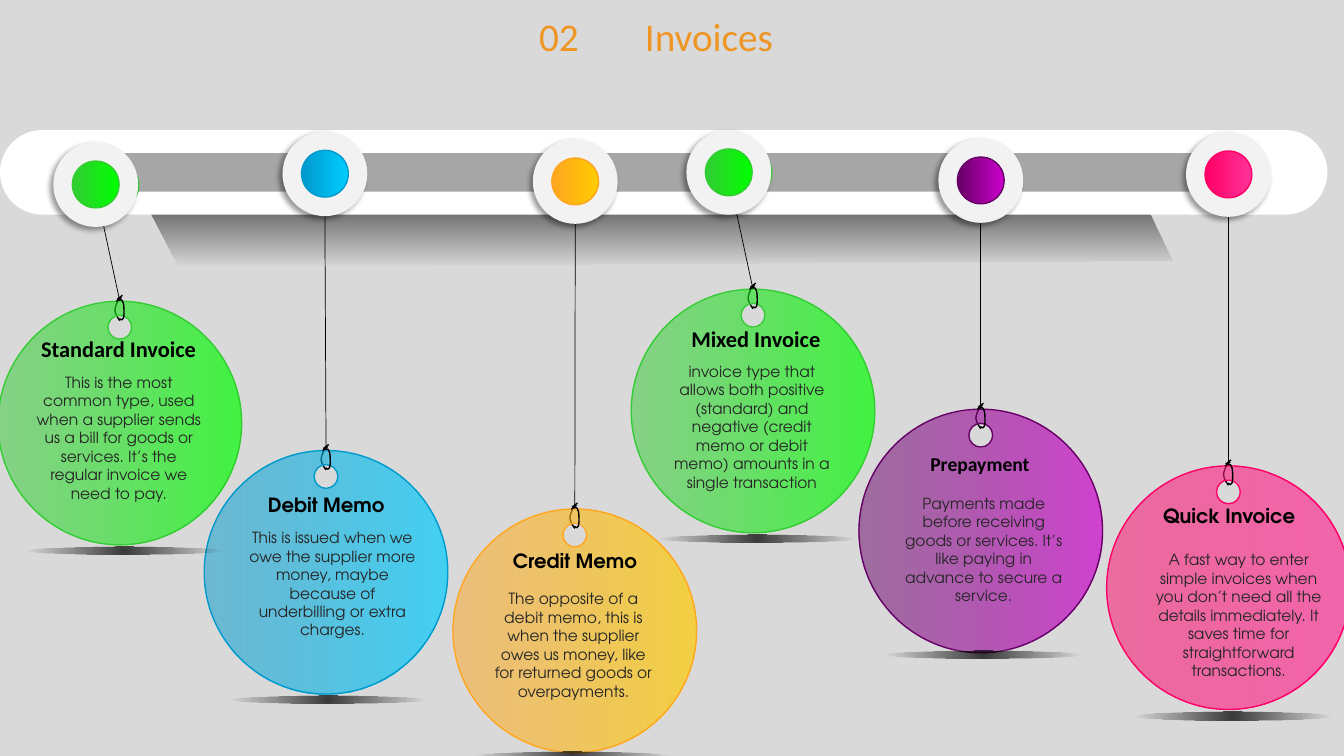
from dataclasses import dataclass

from lxml.etree import SubElement
from pptx import Presentation
from pptx.dml.color import RGBColor
from pptx.enum.shapes import MSO_CONNECTOR, MSO_SHAPE
from pptx.enum.text import MSO_AUTO_SIZE, PP_ALIGN
from pptx.oxml.ns import qn
from pptx.util import Pt

BLACK = RGBColor(0x00, 0x00, 0x00)
WHITE = RGBColor(0xFF, 0xFF, 0xFF)
BACKGROUND = RGBColor(0xD9, 0xD9, 0xD9)
RAIL = RGBColor(0xA6, 0xA6, 0xA6)
DISC = RGBColor(0xF2, 0xF2, 0xF2)
BODY = RGBColor(0x26, 0x26, 0x26)
HEADING = RGBColor(0xEE, 0x95, 0x24)
PURPLE = (RGBColor(0x66, 0x00, 0x66), RGBColor(0xCC, 0x00, 0xCC))
PINK = (RGBColor(0xFF, 0x00, 0x66), RGBColor(0xFF, 0x33, 0x99))
BLUE = (RGBColor(0x00, 0x99, 0xCC), RGBColor(0x00, 0xCC, 0xFF))
ORANGE = (RGBColor(0xFF, 0xA5, 0x1F), RGBColor(0xFF, 0xCC, 0x00))
GREEN = (RGBColor(0x33, 0xCC, 0x33), RGBColor(0x00, 0xFF, 0x00))
ADVENTOR, CALIBRI = "TeX Gyre Adventor", "Calibri"

TAG_RADIUS, HOLE_RADIUS, HOLE_DROP = 87, 8.5, 18.6
DISC_RADIUS, CORE_RADIUS = 30.3, 16.7

# String loop and knot, relative to the top of a tag
LOOP_LEFT = [(0, 13.9), (-1.5, 11.7), (-3.5, 9), (-3.5, 6.4), (-3.5, 3.8), (-2, 1.2), (-0.7, -1.4)]
LOOP_RIGHT = [(-0.5, -0.8), (1.6, -1.6), (2, -0.5), (2.6, 1.6),
              (3.1, 3.8), (3.3, 10.2), (2.6, 12.1), (2.2, 13.9), (0.8, 13.4), (-0.3, 12.4)]
KNOT = [((-2.5, 0.2), (1.2, -2.8)), ((-2, -1.3), (1.9, -4.3))]

# Control points of a unit circle made of four cubic curves
UNIT_CIRCLE = [(0, -1), (0.55, -1), (1, -0.55), (1, 0), (1, 0.55), (0.55, 1), (0, 1),
               (-0.55, 1), (-1, 0.55), (-1, 0), (-1, -0.55), (-0.55, -1), (0, -1)]

Point = tuple[float, float]


@dataclass
class Tag:
    title: str
    text: str
    colors: tuple[RGBColor, RGBColor]
    top: Point
    knob: Point
    shadow: Point
    title_at: Point
    title_width: float
    body_at: Point
    body_height: float
    font: str = ADVENTOR
    size: float = 14
    tilted: bool = False


TAGS = [
    Tag("Prepayment", "Payments made before receiving goods or services. It’s like paying in advance "
        "to secure a service.", PURPLE, (700.6, 292.3), (700.6, 128.9), (1.4, 175),
        (657.4, 319), 85.7, (635.8, 349.2), 87, CALIBRI),
    Tag("Quick Invoice", "A fast way to enter simple invoices when you don’t need all the details "
        "immediately. It saves time for straightforward transactions.", PINK,
        (877.5, 332.8), (877.5, 124.6), (2.9, 178.6), (823.7, 356.4), 110, (817.9, 389.5), 101),
    Tag("Debit Memo", "This is issued when we owe the supplier more money, maybe because of "
        "underbilling or extra charges.", BLUE,
        (232.9, 321.8), (232.1, 124.1), (1.4, 177.8), (184.3, 348.5), 98.6, (170.6, 373.7), 87),
    Tag("Credit Memo", "The opposite of a debit memo, this is when the supplier owes us money, like "
        "for returned goods or overpayments.", ORANGE,
        (410.6, 363.6), (410.9, 129.6), (-2.2, 176.4), (359.3, 388.8), 104.4, (342.7, 417.6), 87),
    Tag("Mixed Invoice", "invoice type that allows both positive (standard) and negative (credit memo "
        "or debit memo) amounts in a single transaction", GREEN,
        (537.9, 206.6), (520.6, 123.1), (2.9, 177.8), (486.7, 229), 108, (470.2, 254.9), 101,
        CALIBRI, 16, True),
    Tag("Standard Invoice", "This is the most common type, used when a supplier sends us a bill for "
        "goods or services. It’s the regular invoice we need to pay.", GREEN,
        (85.6, 215.2), (68.4, 131.8), (2.9, 177.8), (22.3, 236.2), 126.7, (18, 262.8), 101,
        CALIBRI, 16, True),
]


def set_gradient(shape, colors, alphas=(100, 100), angle=0, radial=False) -> None:
    shape.fill.background()
    properties = shape._element.spPr
    empty = properties.find(qn("a:noFill"))
    gradient = SubElement(properties, qn("a:gradFill"), rotWithShape="1")
    properties.replace(empty, gradient)
    stops = SubElement(gradient, qn("a:gsLst"))
    for position, color, alpha in zip((0, 100000), colors, alphas):
        stop = SubElement(stops, qn("a:gs"), pos=str(position))
        value = SubElement(stop, qn("a:srgbClr"), val=str(color))
        SubElement(value, qn("a:alpha"), val=str(alpha * 1000))
    if radial:
        center = SubElement(gradient, qn("a:path"))
        center.set("path", "circle")
        SubElement(center, qn("a:fillToRect"), l="50000", t="50000", r="50000", b="50000")
    else:
        SubElement(gradient, qn("a:lin"), ang=str(angle * 60000), scaled="0")


def set_line(shape, color: RGBColor | None, width: float = 1) -> None:
    if color is None:
        shape.line.fill.background()
    else:
        shape.line.color.rgb = color
        shape.line.width = Pt(width)


def add_preset(slide, kind, left, top, width, height, fill=None, line=None):
    shape = slide.shapes.add_shape(kind, Pt(left), Pt(top), Pt(width), Pt(height))
    shape.shadow.inherit = False
    set_line(shape, line)
    if fill is not None:
        shape.fill.solid()
        shape.fill.fore_color.rgb = fill
    return shape


def add_ellipse(slide, center: Point, radius_x, radius_y, fill=None, line=None):
    return add_preset(slide, MSO_SHAPE.OVAL, center[0] - radius_x, center[1] - radius_y,
                      2 * radius_x, 2 * radius_y, fill, line)


def add_outline(slide, contours: list[list[Point]], close: bool, line: RGBColor | None, curved=True):
    scaled = [[(Pt(x), Pt(y)) for x, y in contour] for contour in contours]
    builder = slide.shapes.build_freeform(*scaled[0][0])
    for index, contour in enumerate(scaled):
        if index:
            builder.move_to(*contour[0])
        builder.add_line_segments(contour[1:], close=close)
    shape = builder.convert_to_shape()
    shape.shadow.inherit = False
    shape.fill.background()
    set_line(shape, line)
    if curved:
        bend(shape)
    return shape


def bend(shape) -> None:
    """Turn every three straight segments into one cubic curve."""
    segments = list(shape._element.iter(qn("a:lnTo")))
    for first in range(0, len(segments), 3):
        group = segments[first:first + 3]
        parent = group[0].getparent()
        cubic = SubElement(parent, qn("a:cubicBezTo"))
        parent.replace(group[0], cubic)
        for segment in group:
            cubic.append(segment[0])
        for segment in group[1:]:
            parent.remove(segment)


def add_straight(slide, start: Point, end: Point, width: float) -> None:
    connector = slide.shapes.add_connector(MSO_CONNECTOR.STRAIGHT, *(Pt(v) for v in (*start, *end)))
    set_line(connector, BLACK, width)
    SubElement(connector._element.spPr, qn("a:effectLst"))


def add_text(slide, text, left, top, width, height, *, font, size, color,
             bold=False, align=PP_ALIGN.LEFT, wrap=True) -> None:
    box = slide.shapes.add_textbox(Pt(left), Pt(top), Pt(width), Pt(height))
    box.text_frame.word_wrap = wrap
    box.text_frame.auto_size = MSO_AUTO_SIZE.SHAPE_TO_FIT_TEXT
    paragraph = box.text_frame.paragraphs[0]
    paragraph.alignment = align
    run = paragraph.add_run()
    run.text = text
    run.font.name, run.font.size, run.font.bold = font, Pt(size), bold
    run.font.color.rgb = color


def place(origin: Point, offsets: list[Point], scale: float = 1) -> list[Point]:
    return [(origin[0] + scale * x, origin[1] + scale * y) for x, y in offsets]


def shift(origin: Point, offset: Point) -> Point:
    return place(origin, [offset])[0]


def add_core(slide, center: Point, colors) -> None:
    core = add_ellipse(slide, center, CORE_RADIUS, CORE_RADIUS, line=colors[0])
    set_gradient(core, colors)


def add_tag(slide, tag: Tag) -> None:
    # String and knob
    string_offset = (4.3, 23.4) if tag.tilted else (0, DISC_RADIUS)
    add_straight(slide, shift(tag.knob, string_offset), tag.top, 0.5)
    if tag.tilted:
        add_core(slide, shift(tag.knob, (14, 0.5)), tag.colors)
    disc = add_ellipse(slide, tag.knob, DISC_RADIUS, DISC_RADIUS, DISC)
    effects = disc._element.spPr.find(qn("a:effectLst"))
    shadow = SubElement(effects, qn("a:outerShdw"), blurRad=str(Pt(4)), dist=str(Pt(3)),
                        dir="8100000", algn="tr", rotWithShape="0")
    SubElement(SubElement(shadow, qn("a:srgbClr"), val=str(BLACK)), qn("a:alpha"), val="40000")
    add_core(slide, tag.knob, tag.colors)

    # Round tag with a hole, threaded by the loop
    add_outline(slide, [place(tag.top, LOOP_LEFT)], False, BLACK)
    hole = place(shift(tag.top, (0, HOLE_DROP)), UNIT_CIRCLE, HOLE_RADIUS)
    rim = place(shift(tag.top, (0, TAG_RADIUS)), UNIT_CIRCLE, TAG_RADIUS)
    plate = add_outline(slide, [hole, rim[::-1]], True, tag.colors[0])
    set_gradient(plate, tag.colors, (50, 70))
    add_outline(slide, [place(tag.top, LOOP_RIGHT)], False, BLACK)
    for start, end in KNOT:
        add_straight(slide, shift(tag.top, start), shift(tag.top, end), 1)
    ground = add_ellipse(slide, shift(tag.top, tag.shadow), 70.5, 2.9)
    set_gradient(ground, (BLACK, BLACK), (74, 0), radial=True)

    # Wording
    add_text(slide, tag.text, *tag.body_at, 133.9, tag.body_height,
             font=ADVENTOR, size=11, color=BODY, align=PP_ALIGN.CENTER)
    add_text(slide, tag.title, *tag.title_at, tag.title_width, 24.5 if tag.size == 14 else 26.6,
             font=tag.font, size=tag.size, color=BLACK, bold=True, wrap=False)


def main() -> None:
    presentation = Presentation()
    presentation.slide_width, presentation.slide_height = Pt(960), Pt(540)
    slide = presentation.slides.add_slide(presentation.slide_layouts[6])
    slide.background.fill.solid()
    slide.background.fill.fore_color.rgb = BACKGROUND

    # Rail and its cast shadow
    cast = [(127.4, 190.1), (96.5, 131.8), (816.5, 143.3), (837.4, 185.8)]
    cast_shape = add_outline(slide, [cast], True, None, curved=False)
    set_gradient(cast_shape, (BLACK, BLACK), (74, 0), angle=90)
    for left, top, width, height, color in ((0, 92.9, 948.2, 60.5, WHITE),
                                            (41, 109.4, 863.3, 27.4, RAIL)):
        bar = add_preset(slide, MSO_SHAPE.ROUNDED_RECTANGLE, left, top, width, height, color)
        bar.adjustments[0] = 0.5

    # Heading
    add_text(slide, "02", 363.6, 5, 56.9, 41, font=CALIBRI, size=28, color=HEADING,
             align=PP_ALIGN.RIGHT)
    add_text(slide, "Invoices", 453.6, 5, 109.4, 41, font=CALIBRI, size=28, color=HEADING)

    for tag in TAGS:
        add_tag(slide, tag)
    presentation.save("out.pptx")


if __name__ == "__main__":
    main()
